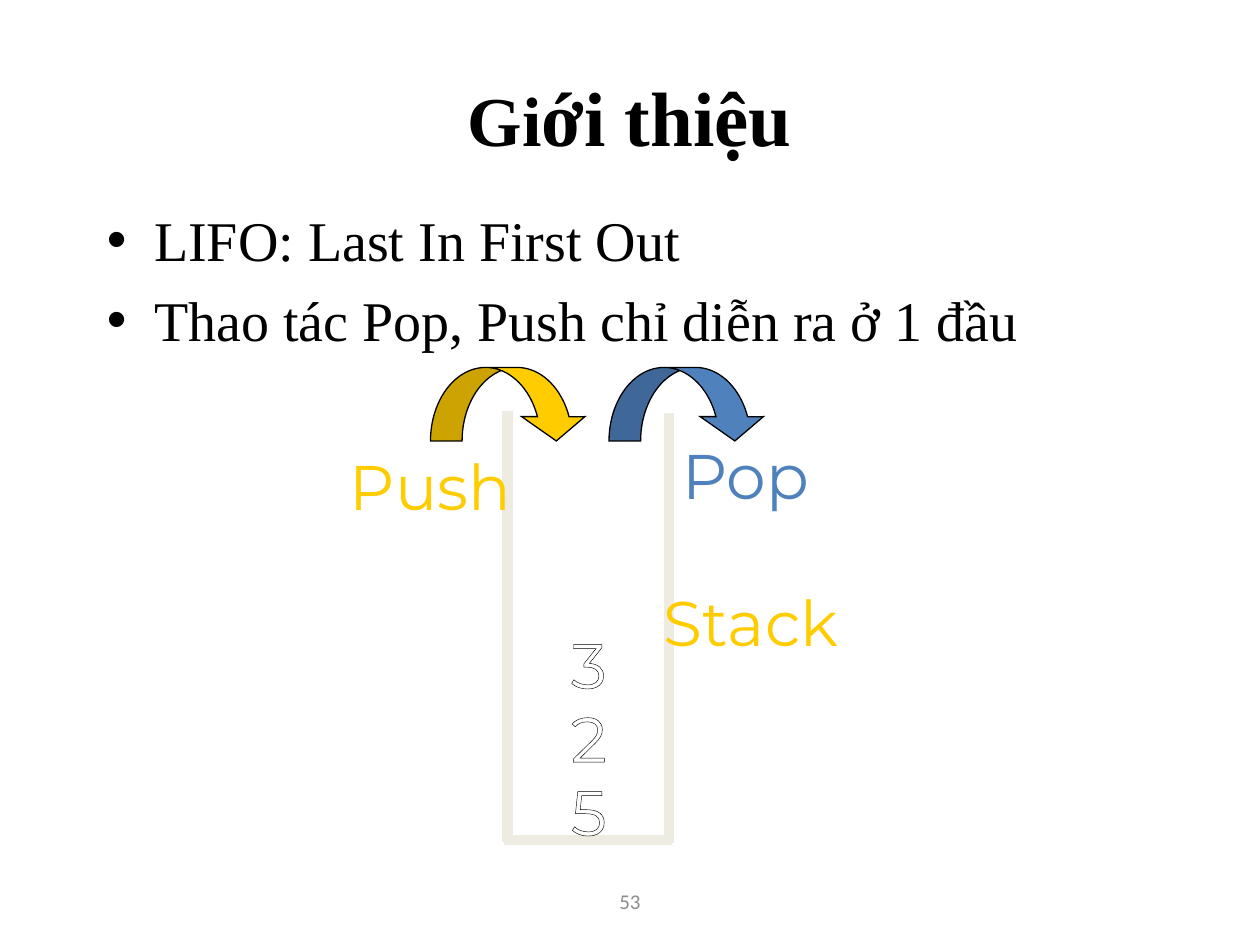
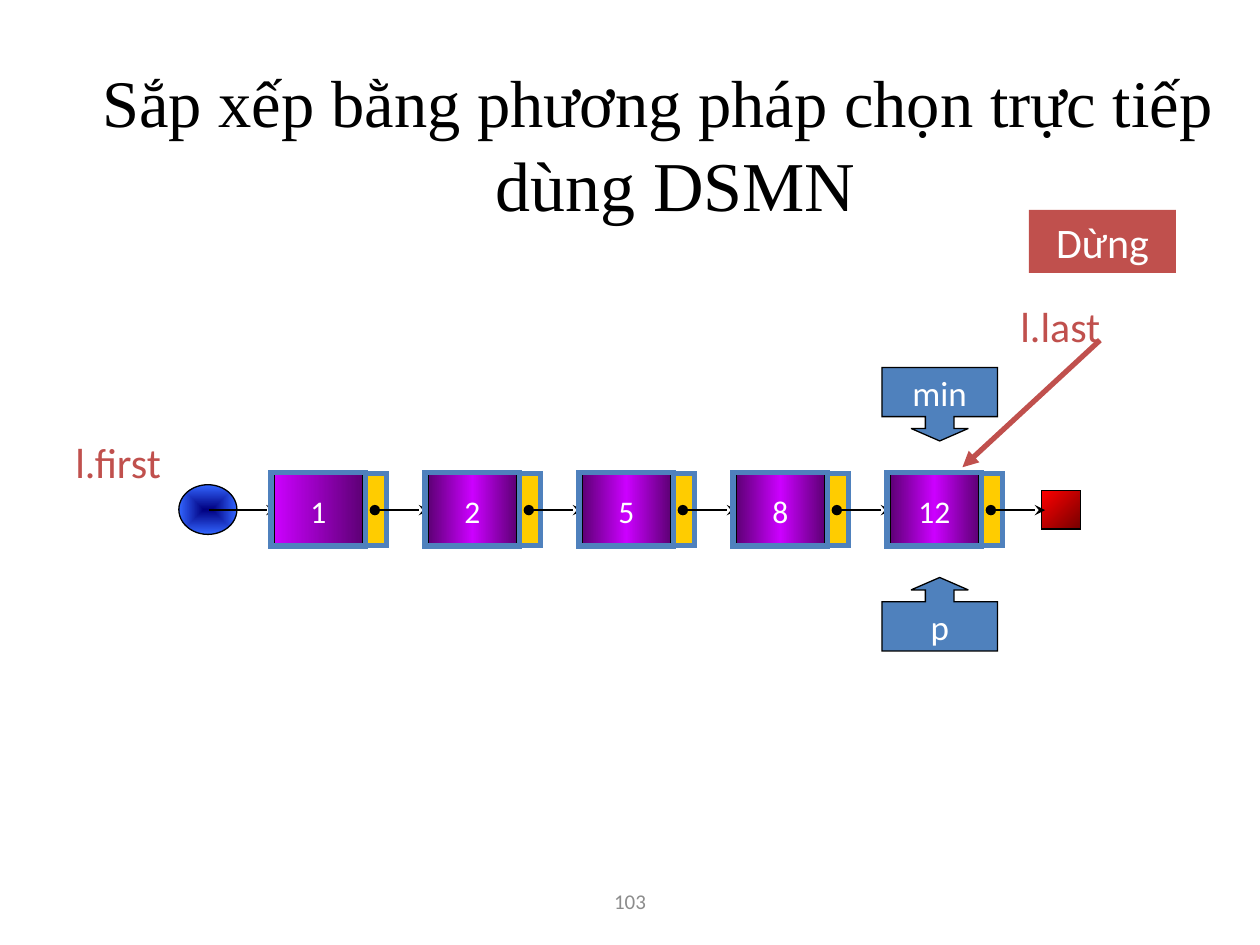
from pptx import Presentation
from pptx.dml.color import RGBColor
from pptx.enum.shapes import MSO_CONNECTOR, MSO_SHAPE
from pptx.enum.text import MSO_ANCHOR, PP_ALIGN
from pptx.oxml import parse_xml
from pptx.oxml.ns import nsdecls, qn
from pptx.util import Pt

BLACK = RGBColor(0x00, 0x00, 0x00)
WHITE = RGBColor(0xFF, 0xFF, 0xFF)
GREY = RGBColor(0x8C, 0x8C, 0x8C)
IVORY = RGBColor(0xEE, 0xEC, 0xE1)
YELLOW = RGBColor(0xFF, 0xCC, 0x00)
BLUE = RGBColor(0x4F, 0x81, 0xBD)
RED = RGBColor(0xC0, 0x50, 0x4D)
NAVY = RGBColor(0x00, 0x00, 0x80)
BRIGHT_BLUE = RGBColor(0x33, 0x66, 0xFF)
BRIGHT_RED = RGBColor(0xFF, 0x00, 0x00)
DARK_RED = RGBColor(0x76, 0x00, 0x00)
VIOLET = RGBColor(0xCC, 0x00, 0xFF)
PURPLE = RGBColor(0x5E, 0x00, 0x76)

SERIF = "Times New Roman"
SANS = "Calibri"
DISPLAY = "Montserrat"

LEFT, CENTER = PP_ALIGN.LEFT, PP_ALIGN.CENTER
TOP, MIDDLE = MSO_ANCHOR.TOP, MSO_ANCHOR.MIDDLE
RECT, OVAL = MSO_SHAPE.RECTANGLE, MSO_SHAPE.OVAL
CURVED_ARROW = MSO_SHAPE.CURVED_DOWN_ARROW
UP_CALLOUT = MSO_SHAPE.UP_ARROW_CALLOUT
DOWN_CALLOUT = MSO_SHAPE.DOWN_ARROW_CALLOUT
STRAIGHT = MSO_CONNECTOR.STRAIGHT

BREAK = ("\n", None)
BULLET_INDENT = 27


def element(tag, inner="", **attributes):
    listed = " ".join(f'{key}="{value}"' for key, value in attributes.items())
    return parse_xml(f"<a:{tag} {nsdecls('a')} {listed}>{inner}</a:{tag}>")


def gradient(*colors, angle=None):
    """Evenly spaced stops; without an angle they run outwards from the centre."""
    last = len(colors) - 1
    stops = "".join(
        f'<a:gs pos="{100000 * i // last}"><a:srgbClr val="{color}"/></a:gs>'
        for i, color in enumerate(colors))
    if angle is None:
        direction = ('<a:path path="shape"><a:fillToRect l="50000" t="50000" '
                     'r="50000" b="50000"/></a:path>')
    else:
        direction = f'<a:lin ang="{angle * 60000}" scaled="0"/>'
    return element("gradFill", f"<a:gsLst>{stops}</a:gsLst>{direction}")


def write_text(frame, paragraphs, size=18, font=SANS, color=BLACK, bold=False,
               align=CENTER, anchor=TOP, wrap=True, margins=None,
               space_before=0, bullet=False, outlined=False):
    """Each paragraph is a string or a list of (text, size) runs."""
    frame.word_wrap = wrap
    frame.vertical_anchor = anchor
    if margins:
        (frame.margin_left, frame.margin_top,
         frame.margin_right, frame.margin_bottom) = map(Pt, margins)
    for index, content in enumerate(paragraphs):
        paragraph = frame.add_paragraph() if index else frame.paragraphs[0]
        paragraph.alignment = align
        paragraph.space_before = Pt(space_before if index else 0)
        if bullet:
            properties = paragraph._p.get_or_add_pPr()
            properties.set("marL", str(Pt(BULLET_INDENT)))
            properties.set("indent", str(Pt(-BULLET_INDENT)))
            properties.append(element("buFont", typeface="Arial"))
            properties.append(element("buChar", char="•"))
        runs = [(content, size)] if isinstance(content, str) else content
        for part in runs:
            if part == BREAK:
                paragraph.add_line_break()
                continue
            run = paragraph.add_run()
            run.text = part[0]
            run.font.size = Pt(part[1])
            run.font.name = font
            run.font.bold = bold
            run.font.color.rgb = color
            if outlined:
                black = f'<a:solidFill><a:srgbClr val="{BLACK}"/></a:solidFill>'
                run._r.get_or_add_rPr().insert(0, element("ln", black, w=Pt(0.75)))


class Deck:
    """Keeps the presentation, its shared look and the current slide."""

    def __init__(self):
        self.presentation = Presentation()
        self.presentation.slide_width = Pt(720)
        self.presentation.slide_height = Pt(540)
        self.slide = None

    def new_slide(self, number):
        self.slide = self.presentation.slides.add_slide(
            self.presentation.slide_layouts[6])
        self.text((246, 500.4, 228, 28.8), number, size=12, color=GREY,
                  anchor=MIDDLE)

    def title(self, box, runs, bold=False):
        self.text(box, runs, font=SERIF, bold=bold, anchor=MIDDLE)

    def text(self, box, *paragraphs, **text_format):
        label = self.slide.shapes.add_textbox(*map(Pt, box))
        write_text(label.text_frame, paragraphs, **text_format)

    def display_word(self, center, top, width, word, color):
        self.text((center - width / 2, top, width, 50), word, size=36,
                  font=DISPLAY, color=color, outlined=True)

    def shape(self, kind, box, fill=None, line=BLACK, width=0.75,
              adjustments=(), text=None, **text_format):
        """The fill is a colour, a gradient element or None."""
        shape = self.slide.shapes.add_shape(kind, *map(Pt, box))
        shape.shadow.inherit = False
        for index, value in enumerate(adjustments):
            shape.adjustments[index] = value
        if isinstance(fill, RGBColor):
            shape.fill.solid()
            shape.fill.fore_color.rgb = fill
        else:
            shape.fill.background()
            if fill is not None:
                properties = shape._element.spPr
                properties.replace(properties.find(qn("a:noFill")), fill)
        if line is None:
            shape.line.fill.background()
        else:
            shape.line.color.rgb = line
            shape.line.width = Pt(width)
            shape.line._get_or_add_ln().append(element("miter", lim=800000))
        if text:
            write_text(shape.text_frame, [text], color=WHITE, **text_format)

    def line(self, start, end, color, width, head=None, tail=None):
        line = self.slide.shapes.add_connector(
            STRAIGHT, *map(Pt, (*start, *end)))
        line.line.color.rgb = color
        line.line.width = Pt(width)
        outline = line.line._get_or_add_ln()
        for tag, arrow in (("headEnd", head), ("tailEnd", tail)):
            if arrow:
                outline.append(element(tag, type=arrow))
        line._element.spPr.append(element("effectLst"))


def stack_slide(deck):
    deck.new_slide("53")
    deck.title((36, 12, 648, 108), [("Gi", 40), ("ới thiệu", 44)], bold=True)
    deck.text((54, 114, 612, 366),
              "LIFO: Last In First Out",
              "Thao tác Pop, Push chỉ diễn ra ở 1 đầu",
              size=32, font=SERIF, align=LEFT, space_before=7, bullet=True)

    for start, end in (((290, 234.7), (290, 481)),
                       ((288, 480), (384, 480)),
                       ((382.3, 481.7), (382.3, 236))):
        deck.line(start, end, IVORY, 6)
    for level, value in enumerate("523"):
        deck.display_word(336.5, 438 - 42 * level, 40, value, WHITE)

    for left, color in ((348, BLUE), (246, YELLOW)):
        deck.shape(CURVED_ARROW, (left, 210, 90, 42), color,
                   adjustments=(0.43, 0.86, 0.33))
    deck.display_word(246, 252, 112, "Push", YELLOW)
    deck.display_word(426, 246, 92, "Pop", BLUE)
    deck.display_word(429, 330, 120, "Stack", YELLOW)


def linked_list_slide(deck):
    pitch, link_y = 88, 291.5
    deck.new_slide("103")

    deck.shape(OVAL, (102.2, 277, 33.2, 28.4), gradient(NAVY, BRIGHT_BLUE))
    deck.shape(RECT, (595.3, 280.3, 22.3, 22),
               gradient(BRIGHT_RED, DARK_RED, angle=45))
    deck.line((119.5, link_y), (158, link_y), BLACK, 1.25, tail="stealth")

    for index, value in enumerate(("1", "2", "5", "8", "12")):
        shift = index * pitch
        shades = (PURPLE, VIOLET, PURPLE) if index else (VIOLET, PURPLE)
        deck.shape(RECT, (207.5 + shift, 270.7, 13.6, 41), YELLOW, BLUE, 3)
        deck.shape(RECT, (156.8 + shift, 270.7, 50.4, 41),
                   gradient(*shades, angle=0), text=value, anchor=MIDDLE,
                   margins=(0, 2, 0, 0))
        deck.line((214.2 + shift, link_y), (245.2 + shift, link_y), BLACK, 1.25,
                  head="oval", tail="stealth")
        deck.shape(RECT, (154.8 + shift, 270, 54, 42), line=BLUE, width=3)

    for kind, top, name in ((UP_CALLOUT, 330, "p"), (DOWN_CALLOUT, 210, "min")):
        deck.shape(kind, (504, top, 66, 42), BLUE,
                   adjustments=(0.39, 0.39, 0.17, 0.67), text=name, size=20,
                   anchor=MIDDLE, wrap=False)
    for left, top, name in ((36, 246, "l.first"), (576, 168, "l.last")):
        deck.text((left, top, 102, 36), name, size=24, color=RED, align=LEFT)
    deck.line((628.6, 194.4), (550, 267), RED, 3, tail="triangle")
    deck.shape(RECT, (588, 120, 84, 36), RED, None, text="Dừng", size=24)
    deck.title((12, 36, 738, 90),
               [("Sắp xếp bằng phương pháp chọn trực tiếp", 38), (" ", 40),
                BREAK, (" dùng DSMN", 40)])


def main():
    deck = Deck()
    stack_slide(deck)
    linked_list_slide(deck)
    deck.presentation.save("out.pptx")


if __name__ == "__main__":
    main()
